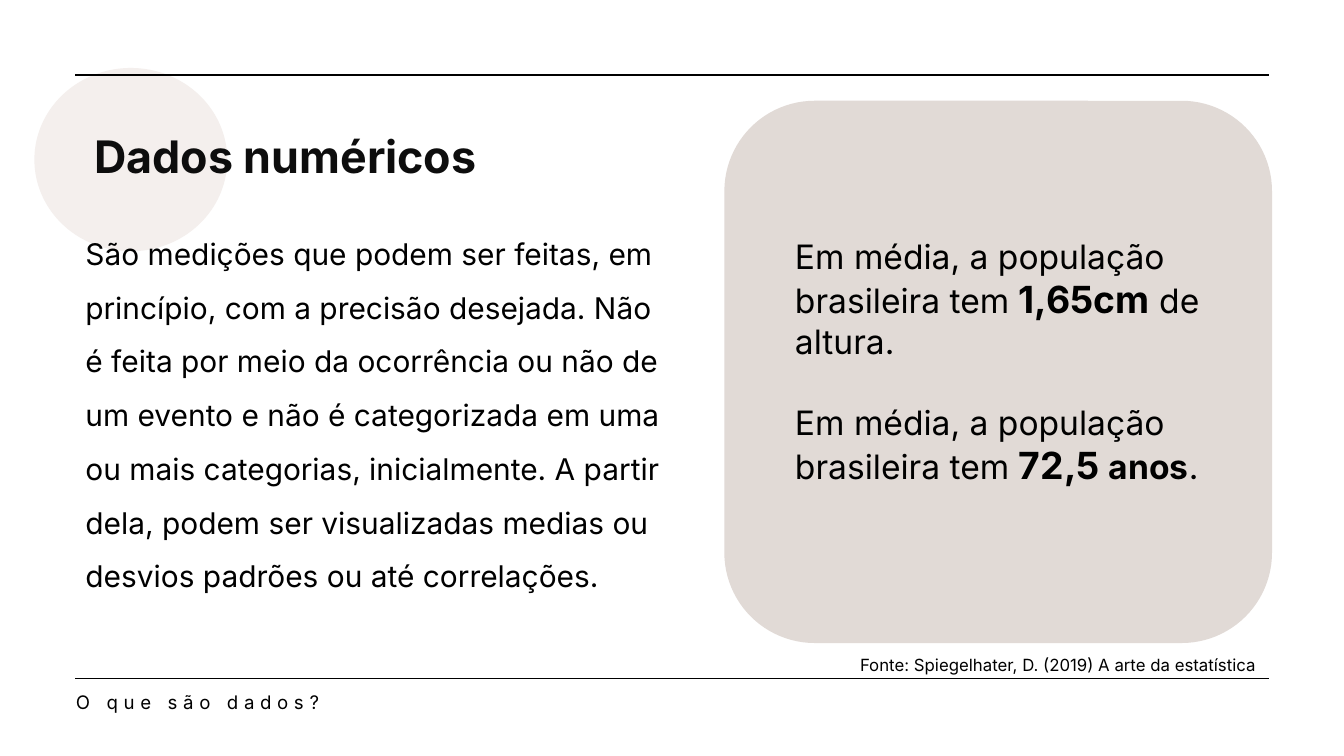
from lxml import etree
from pptx import Presentation
from pptx.dml.color import RGBColor
from pptx.enum.shapes import MSO_CONNECTOR, MSO_SHAPE
from pptx.enum.text import PP_ALIGN
from pptx.oxml.ns import qn
from pptx.util import Cm, Pt

STRAIGHT = MSO_CONNECTOR.STRAIGHT
OVAL = MSO_SHAPE.OVAL
ROUNDED_RECTANGLE = MSO_SHAPE.ROUNDED_RECTANGLE
LEFT = PP_ALIGN.LEFT
RIGHT = PP_ALIGN.RIGHT

FONT = "Inter"
BLACK = "000000"
TITLE_COLOR = "0D0D0D"
CARD_COLOR = "E1DAD6"
CIRCLE_COLOR = "F4EFED"
RULE_LEFT, RULE_RIGHT = 2.84, 47.96


def rgb(color):
    return RGBColor.from_string(color)


def add_filled_shape(slide, kind, left, top, width, height, color):
    shape = slide.shapes.add_shape(kind, Cm(left), Cm(top), Cm(width), Cm(height))
    shape.shadow.inherit = False
    shape.fill.solid()
    shape.fill.fore_color.rgb = rgb(color)
    shape.line.fill.background()


def add_rule(slide, top):
    """Draw a horizontal line between the slide margins."""
    rule = slide.shapes.add_connector(
        STRAIGHT, Cm(RULE_LEFT), Cm(top), Cm(RULE_RIGHT), Cm(top))
    rule.line.color.rgb = rgb(BLACK)
    rule.line.width = Pt(1.5)
    etree.SubElement(rule._element.spPr, qn("a:effectLst"))


def add_text(slide, left, top, width, height, paragraphs, size, color=BLACK,
             bold=False, align=LEFT, line_spacing=None, gap=0, tracking=0):
    """Each paragraph is a list of (text, format) pairs; format may hold size and bold."""
    box = slide.shapes.add_textbox(Cm(left), Cm(top), Cm(width), Cm(height))
    frame = box.text_frame
    frame.word_wrap = True
    frame.margin_left = frame.margin_top = frame.margin_right = frame.margin_bottom = 0
    for index, pieces in enumerate(paragraphs):
        paragraph = frame.add_paragraph() if index else frame.paragraphs[0]
        paragraph.alignment = align
        if line_spacing:
            paragraph.line_spacing = line_spacing
        if index:
            paragraph.space_before = Pt(gap)
        for text, style in pieces:
            run = paragraph.add_run()
            run.text = text
            run.font.name = FONT
            run.font.size = Pt(style.get("size", size))
            run.font.bold = style.get("bold", bold)
            run.font.color.rgb = rgb(color)
            if tracking:
                run._r.get_or_add_rPr().set("spc", str(tracking * 100))


def main():
    presentation = Presentation()
    presentation.slide_width = Cm(50.8)
    presentation.slide_height = Cm(28.58)
    slide = presentation.slides.add_slide(presentation.slide_layouts[6])

    add_filled_shape(slide, ROUNDED_RECTANGLE, 27.38, 3.81, 20.7, 20.5, CARD_COLOR)
    add_filled_shape(slide, OVAL, 1.3, 2.57, 7.29, 6.93, CIRCLE_COLOR)

    definition = (
        "São medições que podem ser feitas, em princípio, com a precisão desejada. "
        "Não é feita por meio da ocorrência ou não de um evento e não é categorizada "
        "em uma ou mais categorias, inicialmente. A partir dela, podem ser "
        "visualizadas medias ou desvios padrões ou até correlações.")
    add_text(slide, 3.23, 8.23, 22.15, 18.21, [[(definition, {})]], 32, line_spacing=1.5)

    for top in (25.65, 2.84):
        add_rule(slide, top)

    add_text(slide, 2.87, 25.98, 32.28, 0.91, [[("O que são dados?", {})]], 20,
             line_spacing=Pt(28), tracking=6)
    source = "Fonte: Spiegelhater, D. (2019) A arte da estatística"
    add_text(slide, 18.06, 24.74, 29.41, 0.76, [[(source, {})]], 18, align=RIGHT)
    add_text(slide, 3.56, 4.85, 44.4, 2.06, [[("Dados numéricos", {})]], 48,
             color=TITLE_COLOR, bold=True)

    opening = ("Em média, a população brasileira tem ", {})
    figure = {"size": 40, "bold": True}
    examples = [
        [opening, ("1,65cm", figure), (" de altura.", {})],
        [opening, ("72,5", figure), (" ", {}), ("anos", {"bold": True}), (".", {})],
    ]
    add_text(slide, 30.05, 8.92, 16.66, 11.96, examples, 36, gap=43.5)

    presentation.save("out.pptx")


if __name__ == "__main__":
    main()
